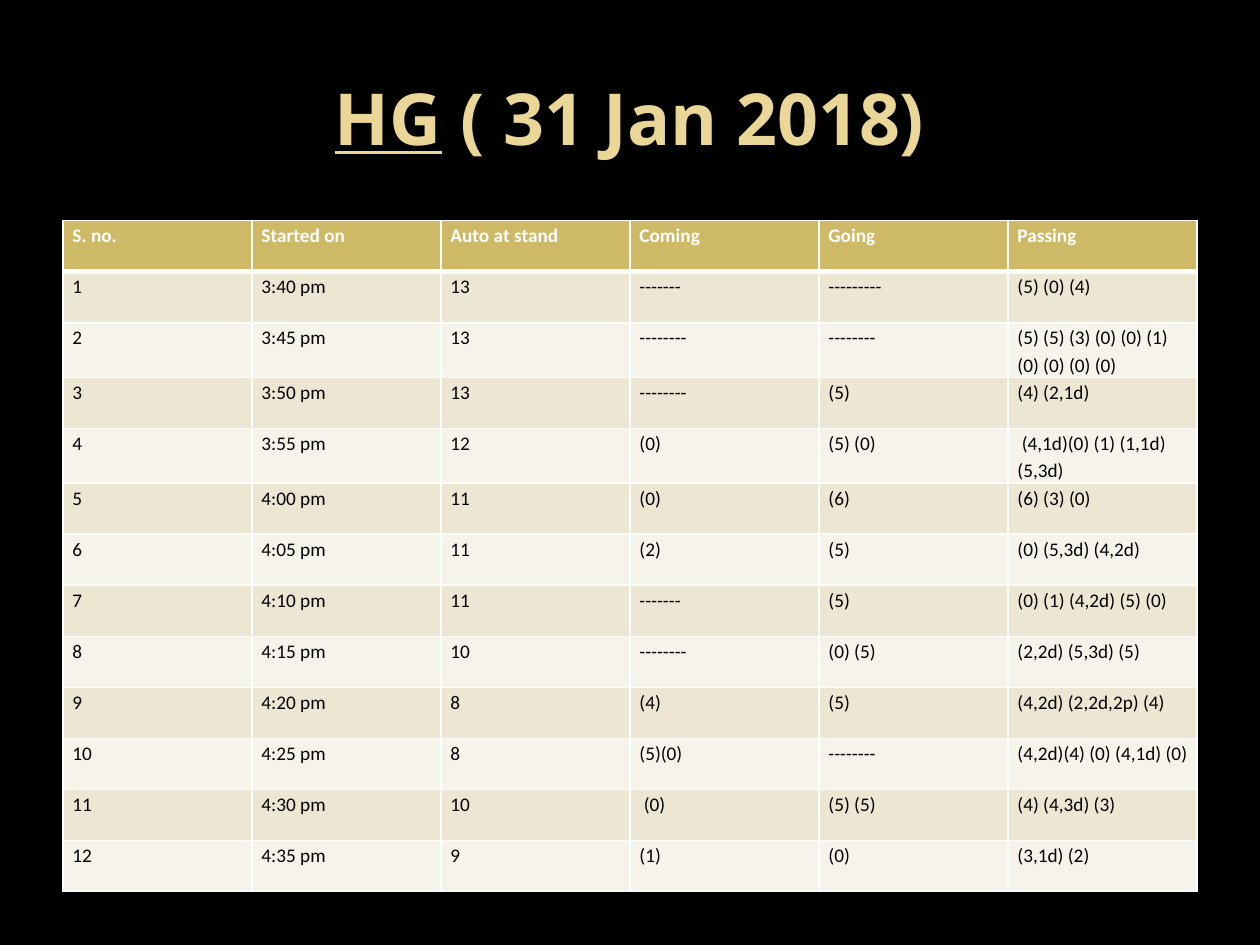
from lxml.etree import SubElement
from pptx import Presentation
from pptx.dml.color import RGBColor
from pptx.enum.text import MSO_ANCHOR, MSO_AUTO_SIZE, PP_ALIGN
from pptx.oxml.ns import qn
from pptx.util import Cm, Pt

BLACK = RGBColor(0x00, 0x00, 0x00)
WHITE = RGBColor(0xFF, 0xFF, 0xFF)
TITLE_LIGHT = RGBColor(0xEA, 0xD6, 0x96)
TITLE_DARK = RGBColor(0xE7, 0xD0, 0x81)
HEADER_GOLD = RGBColor(0xCE, 0xB9, 0x66)
BAND_DARK = RGBColor(0xED, 0xE6, 0xD3)
BAND_LIGHT = RGBColor(0xF6, 0xF3, 0xEA)

HEADINGS = ("S. no.", "Started on", "Auto at stand", "Coming", "Going", "Passing")
OBSERVATIONS = (
    ("1", "3:40 pm", "13", "-------", "---------", "(5) (0) (4)"),
    ("2", "3:45 pm", "13", "--------", "--------",
     "(5) (5) (3) (0) (0) (1) (0) (0) (0) (0)"),
    ("3", "3:50 pm", "13", "--------", "(5)", "(4) (2,1d)"),
    ("4", "3:55 pm", "12", "(0)", "(5) (0)", " (4,1d)(0) (1) (1,1d)(5,3d)"),
    ("5", "4:00 pm", "11", "(0)", "(6)", "(6) (3) (0)"),
    ("6", "4:05 pm", "11", "(2)", "(5)", "(0) (5,3d) (4,2d)"),
    ("7", "4:10 pm", "11", "-------", "(5)", "(0) (1) (4,2d) (5) (0)"),
    ("8", "4:15 pm", "10", "--------", "(0) (5)", "(2,2d) (5,3d) (5)"),
    ("9", "4:20 pm", "8", "(4)", "(5)", "(4,2d) (2,2d,2p) (4)"),
    ("10", "4:25 pm", "8", "(5)(0)", "--------", "(4,2d)(4) (0) (4,1d) (0)"),
    ("11", "4:30 pm", "10", " (0)", "(5) (5)", "(4) (4,3d) (3)"),
    ("12", "4:35 pm", "9", "(1)", "(0)", "(3,1d) (2)"),
)


def place_title(page, left, top, width, height):
    title = page.shapes.title
    title.left, title.top, title.width, title.height = left, top, width, height
    frame = title.text_frame
    frame.vertical_anchor = MSO_ANCHOR.MIDDLE
    frame.auto_size = MSO_AUTO_SIZE.NONE
    para = frame.paragraphs[0]
    para.alignment = PP_ALIGN.CENTER
    for text, underlined in (("HG", True), (" ( 31 Jan 2018)", False)):
        span = para.add_run()
        span.text = text
        font = span.font
        font.name, font.size = "Open Sans", Pt(41)
        font.bold, font.underline = True, underlined
        font.fill.gradient()
        font.fill.gradient_angle = 280
        light, dark = font.fill.gradient_stops
        light.color.rgb, light.position = TITLE_LIGHT, 0.73
        dark.color.rgb, dark.position = TITLE_DARK, 1.0


def set_borders(cell, bottom_width, top_width):
    """Draw white lines on all four sides; they must precede the cell's fill."""
    properties = cell._tc.get_or_add_tcPr()
    widths = {"a:lnL": 1, "a:lnR": 1, "a:lnT": top_width, "a:lnB": bottom_width}
    for side, width in widths.items():
        line = SubElement(properties, qn(side), w=str(Pt(width)))
        fill = SubElement(line, qn("a:solidFill"))
        SubElement(fill, qn("a:srgbClr"), val=str(WHITE))


def format_cell(cell, text, row):
    is_header = row == 0
    set_borders(cell, 3 if is_header else 1, 3 if row == 1 else 1)
    cell.fill.solid()
    if is_header:
        cell.fill.fore_color.rgb = HEADER_GOLD
    else:
        cell.fill.fore_color.rgb = BAND_DARK if row % 2 else BAND_LIGHT
    cell.margin_left = cell.margin_right = Cm(0.19)
    cell.margin_top = cell.margin_bottom = 0
    para = cell.text_frame.paragraphs[0]
    para.text = text
    para.line_spacing = 1.15
    font = para.runs[0].font
    font.name, font.size, font.bold = "Calibri", Pt(11), is_header
    font.color.rgb = WHITE if is_header else BLACK


def place_observations(page, left, top, width, height):
    records = (HEADINGS, *OBSERVATIONS)
    table = page.shapes.add_table(
        len(records), len(HEADINGS), left, top, width, height).table
    for row, record in enumerate(records):
        for column, text in enumerate(record):
            format_cell(table.cell(row, column), text, row)


def main():
    deck = Presentation()
    deck.slide_width, deck.slide_height = Cm(25.4), Cm(19.05)
    page = deck.slides.add_slide(deck.slide_layouts[5])
    page.background.fill.solid()
    page.background.fill.fore_color.rgb = BLACK
    place_title(page, Cm(1.27), Cm(0.76), Cm(22.86), Cm(3.18))
    place_observations(page, Cm(1.27), Cm(4.45), Cm(22.86), Cm(13.38))
    deck.save("out.pptx")


if __name__ == "__main__":
    main()
